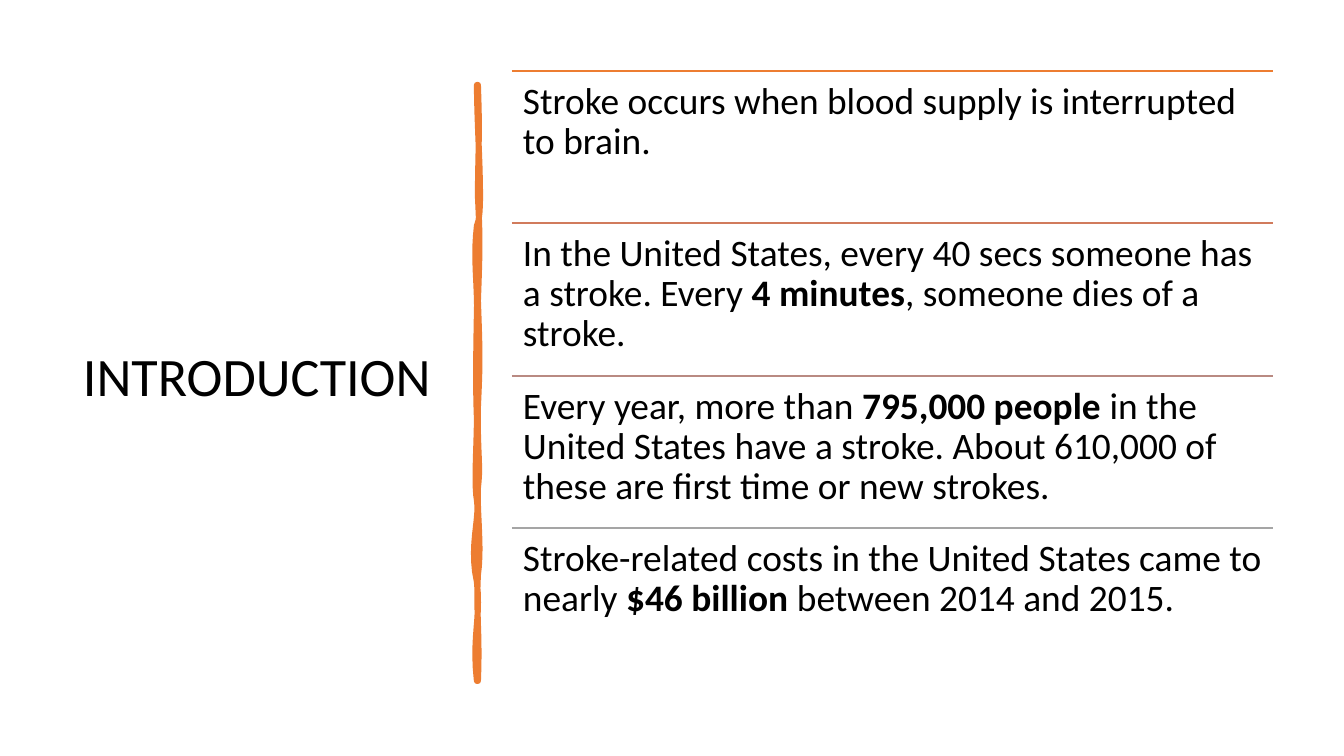
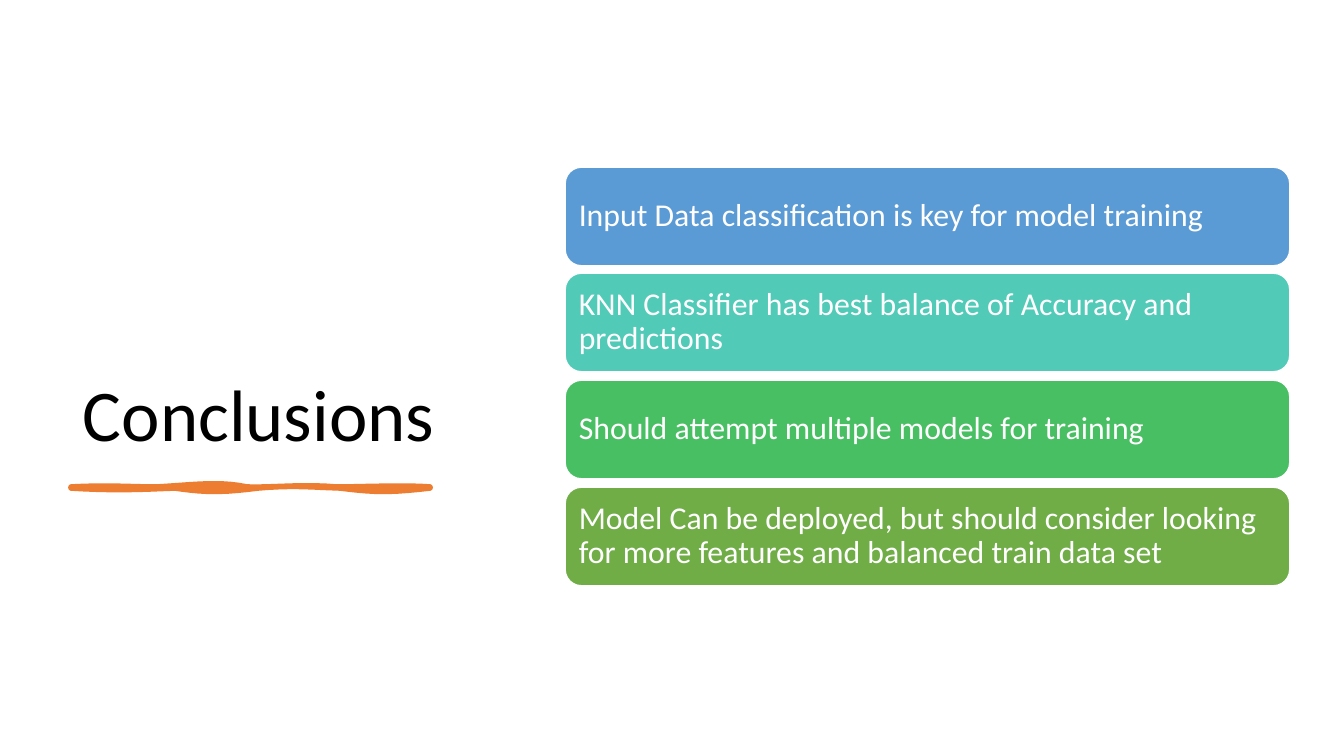
from itertools import pairwise

from lxml import etree
from pptx import Presentation
from pptx import util as u
from pptx.dml.color import RGBColor
from pptx.enum import shapes, text
from pptx.oxml import ns

FONT = "Calibri"
BLACK, WHITE, ACCENT = "000000", "FFFFFF", "ED7D31"
PX = u.Inches(10) / 1344  # the slide is 1344 px wide

# Facts: rule colour, then text runs in which every second one is bold
FACTS = [
    ("ED7D31", ["Stroke occurs when blood supply is interrupted to brain."]),
    ("D17B5C", ["In the United States, every 40 secs someone has a stroke. Every ",
                "4 minutes", ", someone dies of a stroke."]),
    ("B98A82", ["Every year, more than ", "795,000 people",
                " in the United States have a stroke. About 610,000 of these "
                "are first time or new strokes."]),
    ("A5A5A5", ["Stroke-related costs in the United States came to nearly ",
                "$46 billion", " between 2014 and 2015."]),
]
CONCLUSIONS = [
    ("5B9BD5", "Input Data classification is key for model training"),
    ("52CAB8", "KNN Classifier has best balance of Accuracy and predictions"),
    ("49BF64", "Should attempt multiple models for training"),
    ("70AD47", "Model Can be deployed, but should consider looking for more "
               "features and balanced train data set"),
]

# Brush strokes: a closed chain of curves, each row two handles and an end point
VERTICAL_BRUSH = [
    [(478, 85)],
    [(480, 138), (478, 160), (478, 196)],
    [(480, 237), (480, 247), (478, 301)],
    [(480, 355), (480, 364), (478, 407)],
    [(477, 449), (481, 465), (478, 488)],
    [(477, 516), (482, 546), (478, 575)],
    [(476, 610), (480, 637), (478, 681)],
    [(478, 681), (477, 681), (477, 681)],
    [(472, 636), (481, 620), (477, 582)],
    [(469, 547), (480, 519), (477, 500)],
    [(474, 487), (477, 441), (477, 418)],
    [(476, 395), (476, 362), (477, 313)],
    [(478, 289), (473, 258), (477, 226)],
    [(484, 214), (477, 132), (477, 85)],
]
HORIZONTAL_BRUSH = [
    [(71, 487)],
    [(112, 485), (124, 487), (157, 487)],
    [(194, 485), (218, 481), (247, 487)],
    [(270, 488), (302, 484), (336, 487)],
    [(367, 487), (401, 485), (430, 487)],
    [(430, 487), (430, 488), (430, 488)],
    [(388, 493), (372, 492), (340, 488)],
    [(308, 487), (294, 485), (258, 488)],
    [(220, 493), (202, 492), (175, 488)],
    [(148, 489), (116, 491), (71, 488)],
]


def px(n):
    return u.Emu(round(n * PX))


def rgb(color):
    return RGBColor.from_string(color)


def write(frame, runs, size, color, anchor, insets):
    """Fill a text frame; every second run is bold, insets are left, top, right, bottom."""
    frame.word_wrap = True
    frame.vertical_anchor = anchor
    (frame.margin_left, frame.margin_top,
     frame.margin_right, frame.margin_bottom) = map(px, insets)
    paragraph = frame.paragraphs[0]
    paragraph.alignment = text.PP_ALIGN.LEFT
    paragraph.line_spacing = 0.9
    paragraph.font.name = FONT
    paragraph.font.size = u.Pt(size)
    paragraph.font.color.rgb = rgb(color)
    for i, words in enumerate(runs):
        run = paragraph.add_run()
        run.text = words
        if i % 2:
            run.font.bold = True


def add_text(slide, box, *style):
    write(slide.shapes.add_textbox(*map(px, box)).text_frame, *style)


def add_title(slide, words, box, size, anchor):
    add_text(slide, box, [words], size, BLACK, anchor, (13, 7, 13, 7))


def add_rule(slide, left, right, y, color):
    rule = slide.shapes.add_connector(
        shapes.MSO_CONNECTOR.STRAIGHT, px(left), px(y), px(right), px(y))
    rule.line.color.rgb = rgb(color)
    rule.line.width = u.Pt(1)
    etree.SubElement(rule.element.spPr, ns.qn("a:effectLst"))


def curve_point(a, b, c, d, t):
    s = 1 - t
    return tuple(s**3 * p + 3 * s * s * t * q + 3 * s * t * t * r + t**3 * e
                 for p, q, r, e in zip(a, b, c, d))


def add_brush(slide, curves, width, steps=10):
    points = [curve_point(before[-1], *curve, i / steps)
              for before, curve in pairwise(curves) for i in range(1, steps + 1)]
    builder = slide.shapes.build_freeform(*curves[0][0], scale=PX)
    builder.add_line_segments(points, close=True)
    # Finer local units keep the thin outline smooth
    builder = slide.shapes.build_freeform(
        *(round(v * PX) for v in curves[0][0]), scale=1.0)
    builder.add_line_segments(
        [(round(x * PX), round(y * PX)) for x, y in points], close=True)
    brush = builder.convert_to_shape()
    brush.shadow.inherit = False
    brush.fill.solid()
    brush.fill.fore_color.rgb = rgb(ACCENT)
    brush.line.color.rgb = rgb(ACCENT)
    brush.line.width = u.Pt(width)
    etree.SubElement(brush.line._get_or_add_ln(), ns.qn("a:round"))


def introduction(slide):
    add_title(slide, "INTRODUCTION", (70, 71, 376, 616), 29, text.MSO_ANCHOR.MIDDLE)
    add_brush(slide, VERTICAL_BRUSH, 3.25)
    left, top, width, height = 512, 71, 761, 610
    for i, (color, runs) in enumerate(FACTS):
        y = top + height * i // len(FACTS)
        add_rule(slide, left, left + width, y, color)
        add_text(slide, (left, y, width, height // len(FACTS)), runs, 20, BLACK,
                 text.MSO_ANCHOR.TOP, (11, 11, 11, 11))


def conclusions(slide):
    add_title(slide, "Conclusions", (70, 70, 394, 394), 39, text.MSO_ANCHOR.BOTTOM)
    add_brush(slide, HORIZONTAL_BRUSH, 3)
    left, top, last_top, width, height = 565, 167, 487, 725, 99
    for i, (color, words) in enumerate(CONCLUSIONS):
        y = top + (last_top - top) * i // (len(CONCLUSIONS) - 1)
        card = slide.shapes.add_shape(
            shapes.MSO_SHAPE.ROUNDED_RECTANGLE, *map(px, (left, y, width, height)))
        card.shadow.inherit = False
        card.fill.solid()
        card.fill.fore_color.rgb = rgb(color)
        card.line.color.rgb = rgb(WHITE)
        card.line.width = u.Pt(1)
        write(card.text_frame, [words], 17, WHITE, text.MSO_ANCHOR.MIDDLE,
              (9, 9, 9, 9))


def main():
    deck = Presentation()
    deck.slide_width, deck.slide_height = px(1344), px(756)
    for build in (introduction, conclusions):
        build(deck.slides.add_slide(deck.slide_layouts[6]))
    deck.save("out.pptx")


if __name__ == "__main__":
    main()
